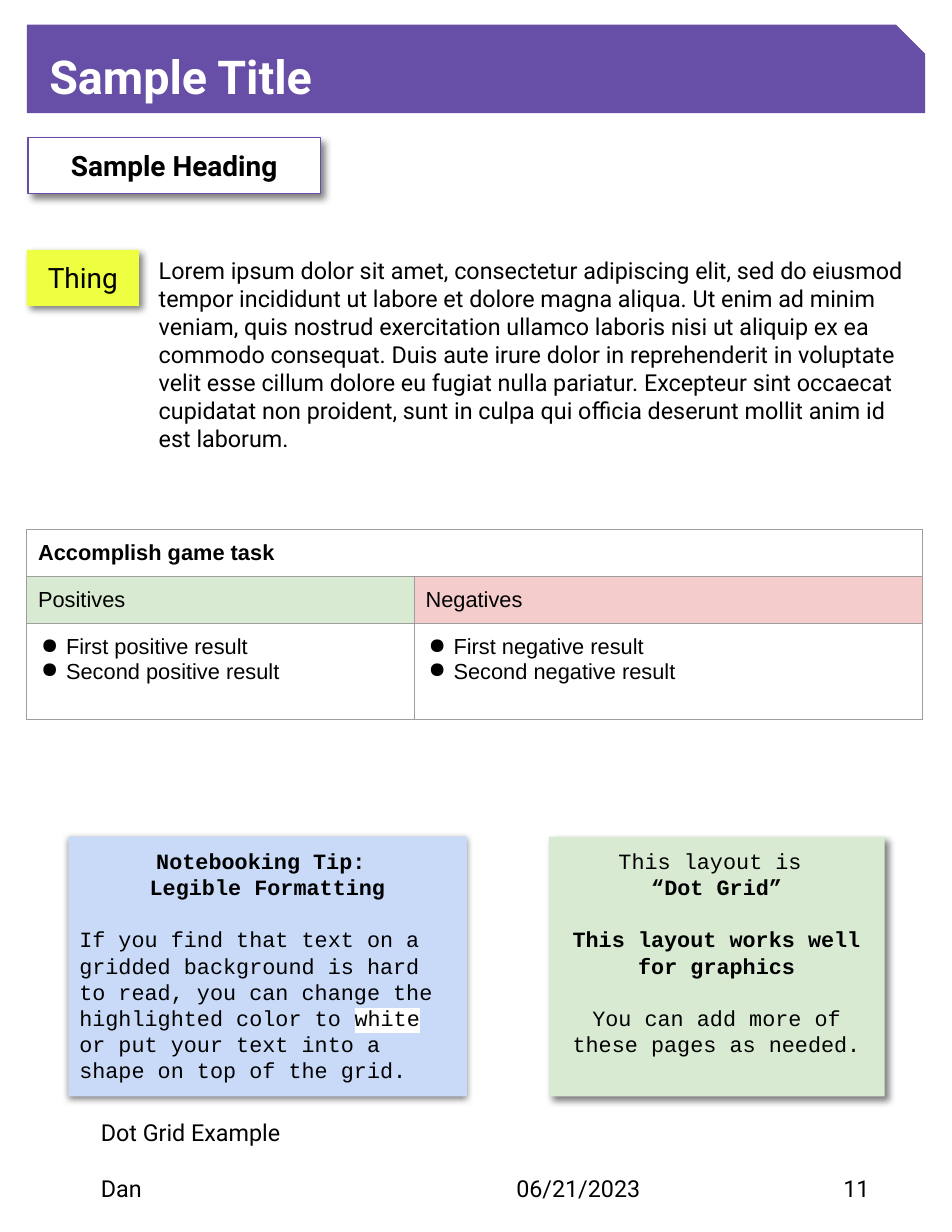
"""Build the Dot Grid Example notebook page."""
from lxml import etree
from pptx import Presentation
from pptx.dml.color import RGBColor
from pptx.enum.shapes import MSO_SHAPE
from pptx.enum.text import MSO_ANCHOR, MSO_AUTO_SIZE, PP_ALIGN
from pptx.oxml.ns import qn
from pptx.util import Pt

LEFT, CENTER = PP_ALIGN.LEFT, PP_ALIGN.CENTER
TOP, MIDDLE = MSO_ANCHOR.TOP, MSO_ANCHOR.MIDDLE
NO_AUTOFIT = MSO_AUTO_SIZE.NONE
RECTANGLE, SNIPPED = MSO_SHAPE.RECTANGLE, MSO_SHAPE.SNIP_1_RECTANGLE
COLORS = {
    "black": "000000", "white": "FFFFFF", "purple": "674EA7", "yellow": "EEFF41",
    "green": "D9EAD3", "red": "F4CCCC", "blue": "C9DAF8", "grey": "9E9E9E",
}
INSET = 7.2
MONO_PITCH = 16.8
BODY_PITCH = 18


def add_run(paragraph, text, font, size, bold=False, color="black", highlight=None):
    run = paragraph.add_run()
    run.text = text
    run.font.size = Pt(size)
    run.font.bold = bold
    run.font.color.rgb = RGBColor.from_string(COLORS[color])
    if highlight:
        mark = etree.SubElement(run.font._element, qn("a:highlight"))
        etree.SubElement(mark, qn("a:srgbClr"), val=COLORS[highlight])
    run.font.name = font


def set_text(frame, paragraphs, font, size, margins=(INSET,) * 4, anchor=TOP,
             pitch=None, color="black"):
    frame.word_wrap = True
    frame.auto_size = NO_AUTOFIT
    frame.vertical_anchor = anchor
    frame.margin_left, frame.margin_top, frame.margin_right, frame.margin_bottom = map(Pt, margins)
    for index, (alignment, space_before, runs) in enumerate(paragraphs):
        paragraph = frame.add_paragraph() if index else frame.paragraphs[0]
        paragraph.alignment = alignment
        paragraph.space_before = Pt(space_before)
        if pitch:
            paragraph.line_spacing = Pt(pitch)
        for text, bold, highlight in runs:
            add_run(paragraph, text, font, size, bold, color, highlight)


presentation = Presentation()
presentation.slide_width, presentation.slide_height = Pt(612), Pt(792)
slide = presentation.slides.add_slide(presentation.slide_layouts[5])

page_title = slide.shapes.title
page_title.left, page_title.top, page_title.width, page_title.height = map(Pt, (64.8, 718.6, 528.5, 16.6))
set_text(page_title.text_frame, [(LEFT, 0, [("Dot Grid Example", False, None)])],
         "Roboto", 15, (0,) * 4)

for text, left, width in [("Dan", 64.8, 252.7), ("06/21/2023", 331.9, 172.8), ("11", 542.2, 53.3)]:
    footer = slide.shapes.add_textbox(Pt(left), Pt(754.6), Pt(width), Pt(16.6))
    set_text(footer.text_frame, [(LEFT, 0, [(text, False, None)])], "Roboto", 15, (0,) * 4)

layout_note = [
    (CENTER, 0, [("This layout is ", False, None)]),
    (CENTER, 0, [("“Dot Grid”", True, None)]),
    (CENTER, MONO_PITCH, [("This layout works well for graphics", True, None)]),
    (CENTER, MONO_PITCH, [("You can add more of these pages as needed.", False, None)]),
]
tip_note = [
    (CENTER, 0, [("Notebooking Tip: ", True, None)]),
    (CENTER, 0, [("Legible Formatting", True, None)]),
    (LEFT, MONO_PITCH, [
        ("If you find that text on a gridded background is hard to read, "
         "you can change the highlighted color to ", False, None),
        ("white", False, "white"),
        (" or put your text into a shape on top of the grid.", False, None)]),
]
mono = {"font": "Courier New", "size": 14, "pitch": MONO_PITCH}
label = {"font": "Roboto", "size": 18, "anchor": MIDDLE}
banner = {"font": "Roboto", "size": 30, "anchor": MIDDLE, "color": "white",
          "margins": (14.4, 0, INSET, 0)}
slanted, downward = (3.8, 46), (1.5, 90)
blocks = [
    (RECTANGLE, (352.8, 537.8, 216, 167), "green", None, slanted, layout_note, mono),
    (SNIPPED, (17.3, 15.8, 577.4, 56.9), "purple", None, None,
     [(LEFT, 0, [("Sample Title", True, None)])], banner),
    (RECTANGLE, (17.3, 160.6, 72, 36), "yellow", None, slanted,
     [(CENTER, 0, [("Thing", False, None)])], label),
    (RECTANGLE, (18, 88.6, 187.9, 36), "white", "purple", slanted,
     [(CENTER, 0, [("Sample Heading", True, None)])], label),
    (RECTANGLE, (43.9, 537.8, 256.3, 167), "blue", None, downward, tip_note, mono),
]
for geometry, box, fill, outline, shadow, paragraphs, style in blocks:
    shape = slide.shapes.add_shape(geometry, *map(Pt, box))
    if geometry == SNIPPED:
        shape.adjustments[0] = 0.33
    shape.fill.solid()
    shape.fill.fore_color.rgb = RGBColor.from_string(COLORS[fill])
    if outline:
        shape.line.color.rgb = RGBColor.from_string(COLORS[outline])
        shape.line.width = Pt(0.75)
    else:
        shape.line.fill.background()
    shape.shadow.inherit = False
    if shadow:
        distance, angle = shadow
        effects = shape._element.spPr.find(qn("a:effectLst"))
        outer = etree.SubElement(effects, qn("a:outerShdw"), blurRad=str(Pt(4.5)),
                                 dist=str(Pt(distance)), dir=str(angle * 60000),
                                 algn="bl", rotWithShape="0")
        tint = etree.SubElement(outer, qn("a:srgbClr"), val=COLORS["black"])
        etree.SubElement(tint, qn("a:alpha"), val="50000")
    set_text(shape.text_frame, paragraphs, **style)

body_text = (
    "Lorem ipsum dolor sit amet, consectetur adipiscing elit, sed do eiusmod tempor "
    "incididunt ut labore et dolore magna aliqua. Ut enim ad minim veniam, quis nostrud "
    "exercitation ullamco laboris nisi ut aliquip ex ea commodo consequat. Duis aute irure "
    "dolor in reprehenderit in voluptate velit esse cillum dolore eu fugiat nulla pariatur. "
    "Excepteur sint occaecat cupidatat non proident, sunt in culpa qui officia deserunt "
    "mollit anim id est laborum."
)
body = slide.shapes.add_textbox(Pt(95), Pt(157.7), Pt(499), Pt(141.8))
set_text(body.text_frame, [(LEFT, 0, [(body_text, False, "white")])], "Roboto", 15, pitch=BODY_PITCH)

row_heights, column_widths = (30.24, 30.24, 61.5), (249.1, 326.9)
table = slide.shapes.add_table(3, 2, Pt(17.3), Pt(340.6), Pt(sum(column_widths)),
                               Pt(sum(row_heights))).table
for row, height in zip(table.rows, row_heights):
    row.height = Pt(height)
for column, width in zip(table.columns, column_widths):
    column.width = Pt(width)
table.cell(0, 0).merge(table.cell(0, 1))
cells = [
    [("white", ["Accomplish game task"]), ("white", [])],
    [("green", ["Positives"]), ("red", ["Negatives"])],
    [("white", ["First positive result", "Second positive result"]),
     ("white", ["First negative result", "Second negative result"])],
]
for row_index, row_cells in enumerate(cells):
    for column_index, (fill, lines) in enumerate(row_cells):
        cell = table.cell(row_index, column_index)
        cell.margin_left = cell.margin_right = cell.margin_top = cell.margin_bottom = Pt(INSET)
        cell.fill.solid()
        cell.fill.fore_color.rgb = RGBColor.from_string(COLORS[fill])
        properties = cell._tc.get_or_add_tcPr()
        for position, side in enumerate(("a:lnL", "a:lnR", "a:lnT", "a:lnB")):
            border = etree.Element(qn(side), w=str(Pt(0.75)))
            solid = etree.SubElement(border, qn("a:solidFill"))
            etree.SubElement(solid, qn("a:srgbClr"), val=COLORS["grey"])
            properties.insert(position, border)
        for index, line in enumerate(lines):
            frame = cell.text_frame
            paragraph = frame.add_paragraph() if index else frame.paragraphs[0]
            if row_index == 2:
                bullet = paragraph._p.get_or_add_pPr()
                bullet.set("marL", str(Pt(18)))
                bullet.set("indent", str(Pt(-16)))
                bullet_color = etree.SubElement(bullet, qn("a:buClr"))
                etree.SubElement(bullet_color, qn("a:srgbClr"), val=COLORS["black"])
                etree.SubElement(bullet, qn("a:buChar"), char="●")
            add_run(paragraph, line, "Arial", 14, bold=row_index == 0)

presentation.save("out.pptx")
